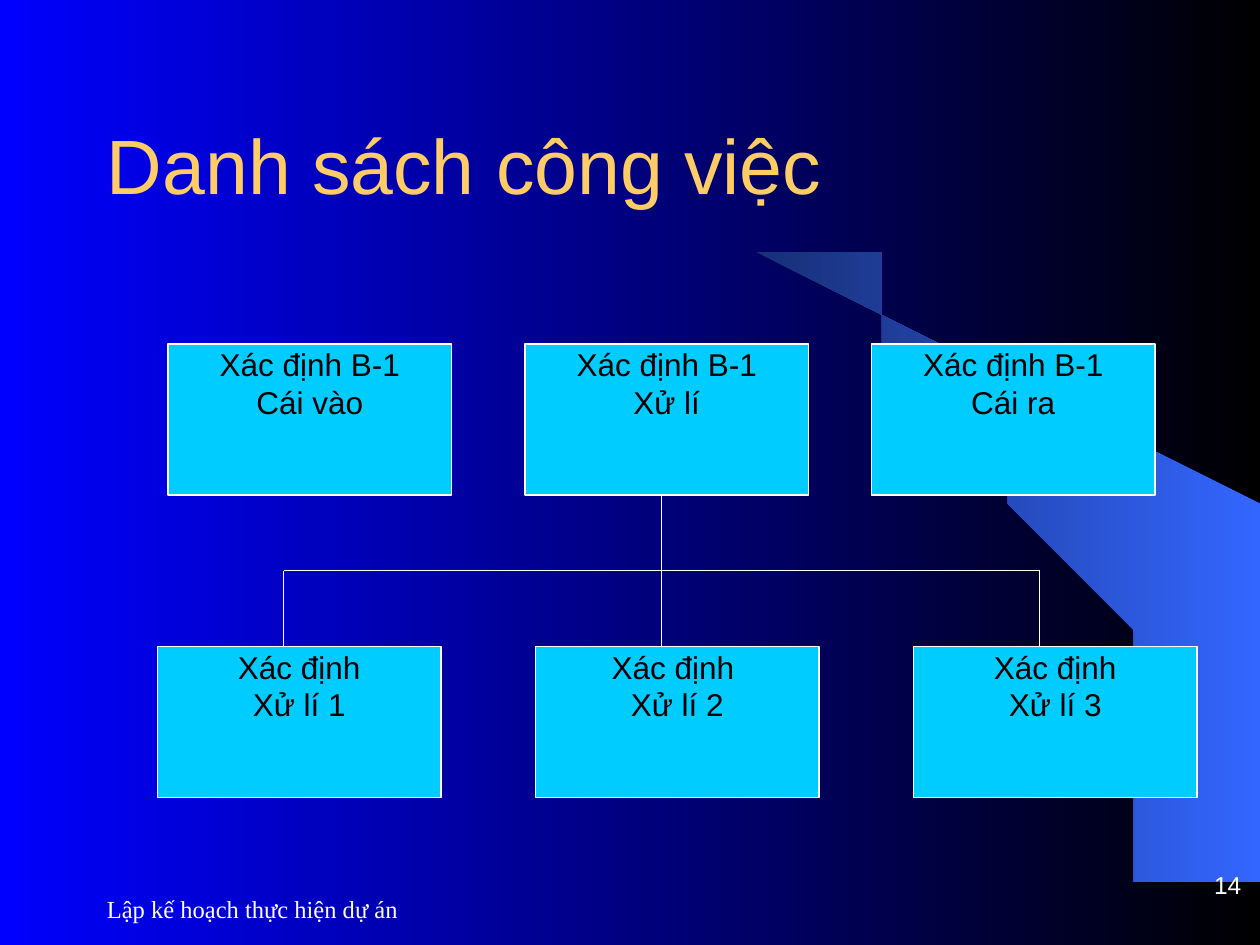
from dataclasses import dataclass

from lxml.etree import SubElement
from pptx import Presentation
from pptx.dml.color import RGBColor as Rgb
from pptx.enum.shapes import MSO_CONNECTOR as Link, MSO_SHAPE as Kind
from pptx.enum.text import MSO_ANCHOR as Anchor, PP_ALIGN as Align
from pptx.oxml.ns import qn
from pptx.util import Inches, Pt


@dataclass(frozen=True)
class Theme:
    blue: str = "0000FF"
    black: str = "000000"
    dusk: str = "182F76"
    sky: str = "3366FF"
    cyan: str = "00CCFF"
    white: str = "FFFFFF"
    gold: str = "FFCC66"
    sans: str = "Arial"
    serif: str = "Times New Roman"
    title: int = 44
    body: int = 18
    small: int = 14
    line: float = 0.75


@dataclass(frozen=True)
class Task:
    col: int
    row: int
    lines: tuple[str, str]


@dataclass(frozen=True)
class Line:
    start: tuple[int, int]
    end: tuple[int, int]


@dataclass(frozen=True)
class Label:
    text: str
    area: tuple[float, float, float, float]  # shares of the slide
    size: int
    color: str
    font: str
    align: Align = Align.LEFT
    anchor: Anchor = Anchor.MIDDLE
    inset: float = 0.05


THEME = Theme()
WIDE, HIGH = 10, 7.5

# Chart grid: twelve columns to the inch, rows of 0.6 inch below TOP
COL, ROW, TOP = 1 / 12, 0.6, 2.73
BOX_COLS, BOX_ROWS = 27, 2
STEP = 36  # columns from one subtask to the next
LOW, BUS = 4, 3  # rows of the subtasks and of the cross line
STEMS = [27 + STEP * i for i in range(3)]

TASKS = [
    Task(16, 0, ("Xác định B-1", "Cái vào")),
    Task(50, 0, ("Xác định B-1", "Xử lí")),
    Task(83, 0, ("Xác định B-1", "Cái ra")),
] + [
    Task(15 + STEP * i, LOW, (head, f"Xử lí {i + 1}"))
    for i, head in enumerate(("Xác định", "Xác định ", "Xác định"))
]
LINES = [Line((STEMS[0], BUS), (STEMS[-1], BUS))] + [
    Line((x, y), (x, LOW)) for x, y in zip(STEMS, (BUS, BOX_ROWS, BUS))
]
LABELS = [
    Label("Lập kế hoạch thực hiện dự án", (0.075, 0.928, 0.467, 0.067),
          THEME.small, THEME.white, THEME.serif),
    Label("14", (0.787, 0.896, 0.208, 0.056), THEME.small, THEME.white,
          THEME.sans, Align.RIGHT, Anchor.BOTTOM, 0),
    Label("Danh sách công việc", (0.075, 0.09, 0.884, 0.167),
          THEME.title, THEME.gold, THEME.sans),
]
SWOOSH = [
    (9.2, 7.48), (9.99, 7.49), (9.99, 4.23), (5.89, 1.73), (6.24, 1.99),
    (6.53, 2.22), (6.85, 2.5), (7.16, 2.8), (7.62, 3.3), (8.03, 3.84),
    (8.32, 4.31), (8.58, 4.79), (8.78, 5.28), (8.93, 5.72), (9.03, 6.09),
    (9.13, 6.56), (9.17, 6.96),
]


def spot(col: float, row: float) -> tuple[Inches, Inches]:
    return Inches(col * COL), Inches(TOP + row * ROW)


def fade(fill, first: str, last: str) -> None:
    fill.gradient()
    fill.gradient_angle = 0
    for stop, color, place in zip(fill.gradient_stops, (first, last), (0, 1)):
        stop.color.rgb = Rgb.from_string(color)
        stop.position = place


def write(frame, lines: tuple[str, ...], size: int, color: str, font: str,
          align: Align, anchor: Anchor, inset: tuple[float, float]) -> None:
    frame.word_wrap = True
    frame.vertical_anchor = anchor
    frame.margin_left = frame.margin_right = Inches(inset[0])
    frame.margin_top = frame.margin_bottom = Inches(inset[1])
    for i, line in enumerate(lines):
        para = frame.add_paragraph() if i else frame.paragraphs[0]
        para.alignment = align
        run = para.add_run()
        run.text = line
        run.font.size = Pt(size)
        run.font.name = font
        run.font.color.rgb = Rgb.from_string(color)


def add_swoosh(slide) -> None:
    pen = slide.shapes.build_freeform(*SWOOSH[0], scale=Inches(1))
    pen.add_line_segments(SWOOSH[1:], close=True)
    shape = pen.convert_to_shape()
    shape.shadow.inherit = False
    shape.line.fill.background()
    fade(shape.fill, THEME.dusk, THEME.sky)


def add_label(slide, label: Label) -> None:
    x, y, w, h = label.area
    box = slide.shapes.add_textbox(Inches(x * WIDE), Inches(y * HIGH),
                                   Inches(w * WIDE), Inches(h * HIGH))
    write(box.text_frame, (label.text,), label.size, label.color, label.font,
          label.align, label.anchor, (0.1, label.inset))


def add_task(slide, task: Task) -> None:
    box = slide.shapes.add_shape(
        Kind.RECTANGLE, *spot(task.col, task.row),
        Inches(BOX_COLS * COL), Inches(BOX_ROWS * ROW))
    box.shadow.inherit = False
    box.fill.solid()
    box.fill.fore_color.rgb = Rgb.from_string(THEME.cyan)
    box.line.color.rgb = Rgb.from_string(THEME.white)
    box.line.width = Pt(THEME.line)
    write(box.text_frame, task.lines, THEME.body, THEME.black, THEME.sans,
          Align.CENTER, Anchor.TOP, (0.02, 0.01))


def add_line(slide, line: Line) -> None:
    link = slide.shapes.add_connector(
        Link.STRAIGHT, *spot(*line.start), *spot(*line.end))
    link.line.color.rgb = Rgb.from_string(THEME.white)
    link.line.width = Pt(THEME.line)
    SubElement(link._element.spPr, qn("a:effectLst"))


def main() -> None:
    deck = Presentation()
    deck.slide_width, deck.slide_height = Inches(WIDE), Inches(HIGH)
    slide = deck.slides.add_slide(deck.slide_layouts[6])

    # Backdrop
    fade(slide.background.fill, THEME.blue, THEME.black)
    add_swoosh(slide)

    # Footer, page number and title
    for label in LABELS:
        add_label(slide, label)

    # Task chart
    for task in TASKS:
        add_task(slide, task)
    for line in LINES:
        add_line(slide, line)

    deck.save("out.pptx")


if __name__ == "__main__":
    main()
